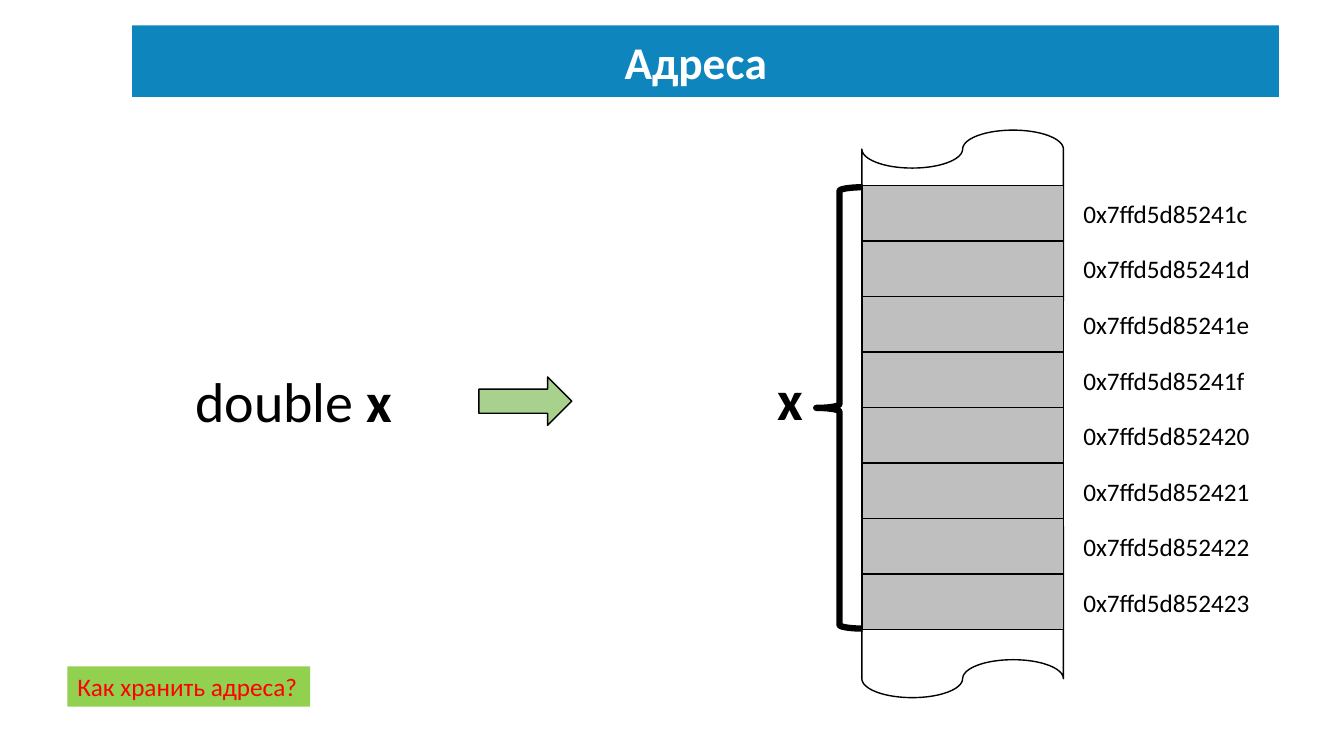
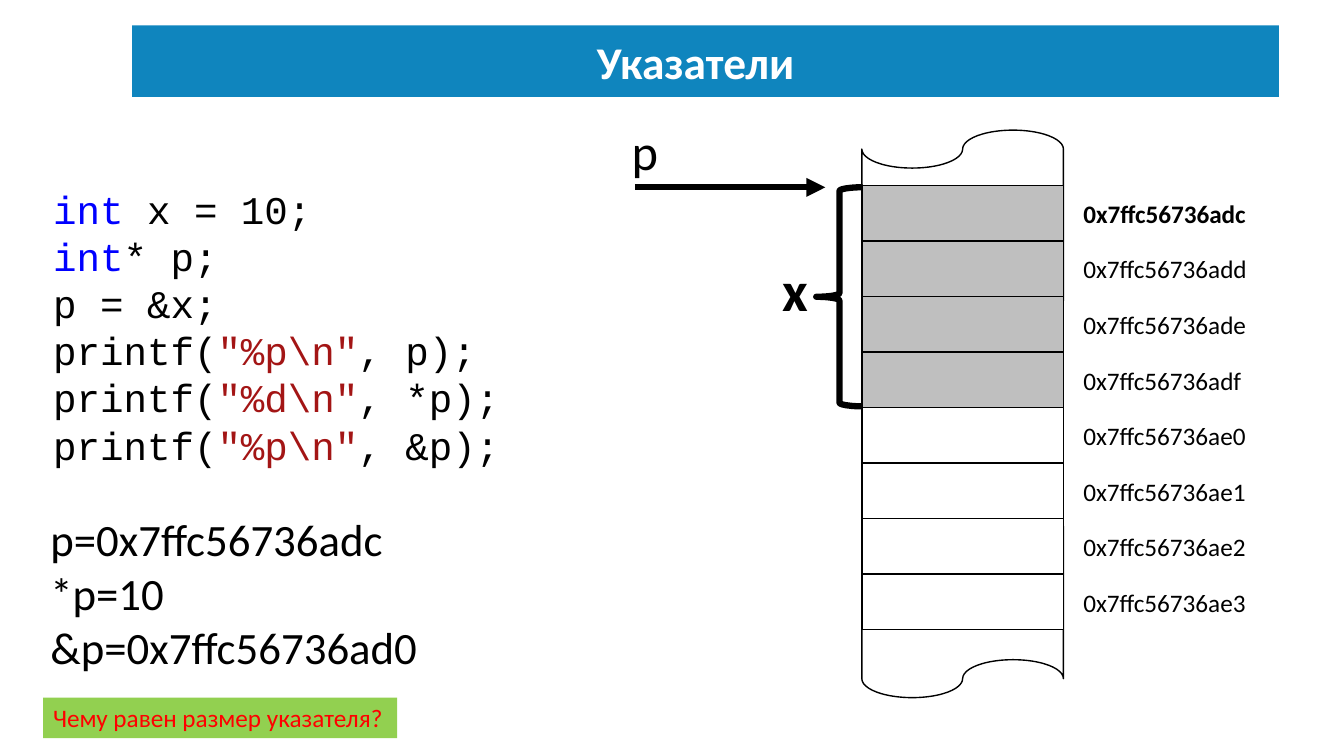
from pptx import Presentation
from pptx.dml.color import RGBColor
from pptx.enum.shapes import MSO_CONNECTOR, MSO_SHAPE
from pptx.enum.text import MSO_ANCHOR, PP_ALIGN
from pptx.oxml.ns import qn
from pptx.util import Cm, Pt
from lxml import etree

RECT, TAPE = MSO_SHAPE.RECTANGLE, MSO_SHAPE.WAVE
TAPE = MSO_SHAPE.FLOWCHART_PUNCHED_TAPE
BRACE, ARROW = MSO_SHAPE.LEFT_BRACE, MSO_SHAPE.RIGHT_ARROW
LEFT, CENTER = PP_ALIGN.LEFT, PP_ALIGN.CENTER
TOP, MIDDLE = MSO_ANCHOR.TOP, MSO_ANCHOR.MIDDLE

SANS, MONO = "Calibri", "Courier New"
BLACK, WHITE, GREY = "000000", "FFFFFF", "BFBFBF"
BAND, GREEN, LIME, RED = "0F85BE", "A9D18E", "92D050", "FF0000"
KEY, STR = "0000FF", "A31515"

# Memory strip, in cm
MEM_X, MEM_W = 21.72, 5.08
CELL_Y, CELL_H = 4.67, 1.4
TAPE_H, TAPE_YS = 4.78, (3.28, 12.8)

# Content: a line is a list of (text, colour, bold) runs
ADDRS = ["0x7ffd5d85241c", "0x7ffd5d85241d", "0x7ffd5d85241e",
         "0x7ffd5d85241f", "0x7ffd5d852420", "0x7ffd5d852421",
         "0x7ffd5d852422", "0x7ffd5d852423"]
PTRS = ["0x7ffc56736adc", "0x7ffc56736add", "0x7ffc56736ade",
        "0x7ffc56736adf", "0x7ffc56736ae0", "0x7ffc56736ae1",
        "0x7ffc56736ae2", "0x7ffc56736ae3"]
DECL = [[("double ", BLACK, False), ("x", BLACK, True)]]
CODE = [
    [("int", KEY), (" x = 10;", BLACK)],
    [("int", KEY), ("* p;", BLACK)],
    [("p = &x;", BLACK)],
    [("printf(", BLACK), ('"%p\\n"', STR), (", p);", BLACK)],
    [("printf(", BLACK), ('"%d\\n"', STR), (", *p);", BLACK)],
    [("printf(", BLACK), ('"%p\\n"', STR), (", &p);", BLACK)],
]
OUTPUT = ["p=0x7ffc56736adc", "*p=10", "&p=0x7ffc56736ad0"]


def rgb(code):
    return RGBColor.from_string(code)


def write(shape, lines, size, color=BLACK, bold=False, face=SANS,
          align=LEFT, anchor=TOP):
    frame = shape.text_frame
    frame.word_wrap = True
    frame.vertical_anchor = anchor
    for i, line in enumerate(lines):
        para = frame.paragraphs[0] if i == 0 else frame.add_paragraph()
        para.alignment = align
        font = para.font
        font.name, font.size, font.bold = face, Pt(size), bold
        font.color.rgb = rgb(color)
        if isinstance(line, str):
            para.add_run().text = line
            continue
        for text, tint, *heavy in line:
            run = para.add_run()
            run.text = text
            run.font.color.rgb = rgb(tint)
            if heavy:
                run.font.bold = heavy[0]


def label(slide, box, lines, size, **style):
    write(slide.shapes.add_textbox(*map(Cm, box)), lines, size, **style)


def draw(slide, kind, box, fill=None, line=None, width=1):
    shape = slide.shapes.add_shape(kind, *map(Cm, box))
    shape.shadow.inherit = False
    if fill:
        shape.fill.solid()
        shape.fill.fore_color.rgb = rgb(fill)
    else:
        shape.fill.background()
    if line:
        shape.line.color.rgb = rgb(line)
        shape.line.width = Pt(width)
    else:
        shape.line.fill.background()
    return shape


def start(deck, title):
    slide = deck.slides.add_slide(deck.slide_layouts[6])
    band = draw(slide, RECT, (3.33, 0.64, 28.9, 1.8), BAND)
    band.text_frame.margin_right = Cm(0.74)
    write(band, [title], 32.4, WHITE, True, align=CENTER, anchor=MIDDLE)
    return slide


def memory(slide, addrs, used, name_box, first_bold=False):
    """Draw the strip, its addresses and the brace over the used cells."""
    for y in TAPE_YS:
        draw(slide, TAPE, (MEM_X, y, MEM_W, TAPE_H), WHITE, BLACK)
    for i, addr in enumerate(addrs):
        y = CELL_Y + i * CELL_H
        fill = GREY if i < used else WHITE
        draw(slide, RECT, (MEM_X, y, MEM_W, CELL_H), fill, BLACK)
        label(slide, (27.05, y + 0.2, 5, 1.02), [addr], 18,
              bold=first_bold and i == 0)
    tall = used * CELL_H - 0.08
    brace = draw(slide, BRACE, (20.57, CELL_Y + 0.05, 1.17, tall),
                 None, BLACK, 4.5)
    brace.adjustments[0], brace.adjustments[1] = 0.08, 0.5
    label(slide, name_box, ["x"], 40, bold=True)


def ask(slide, box, text):
    write(draw(slide, RECT, box, LIME), [text], 18, RED)


def pointer(slide, x1, x2, y):
    line = slide.shapes.add_connector(
        MSO_CONNECTOR.STRAIGHT, Cm(x1), Cm(y), Cm(x2), Cm(y))
    line.line.color.rgb = rgb(BLACK)
    line.line.width = Pt(4.5)
    etree.SubElement(line.line._get_or_add_ln(), qn("a:tailEnd"),
                     type="triangle")
    etree.SubElement(line._element.spPr, qn("a:effectLst"))


def main():
    deck = Presentation()
    deck.slide_width, deck.slide_height = Cm(33.87), Cm(19.05)

    # Addresses
    slide = start(deck, "Адреса")
    memory(slide, ADDRS, 8, (19.35, 9.07, 1.2, 1.96))
    label(slide, (4.67, 9.12, 5.6, 1.96), DECL, 40)
    draw(slide, ARROW, (12.07, 9.5, 2.34, 1.22), GREEN, BLACK)
    ask(slide, (1.7, 16.79, 6.12, 1.02), "Как хранить адреса?")

    # Pointers
    slide = start(deck, "Указатели")
    label(slide, (1.09, 4.55, 12.57, 7.6), CODE, 28, face=MONO)
    memory(slide, PTRS, 4, (19.46, 6.32, 1.2, 1.96), first_bold=True)
    label(slide, (1.02, 12.78, 12.57, 4.37), OUTPUT, 32)
    pointer(slide, 16, 20.8, 4.72)
    label(slide, (15.67, 2.9, 1.2, 1.8), ["p"], 36)
    ask(slide, (1.09, 17.58, 8.92, 1.02), "Чему равен размер указателя?")

    deck.save("out.pptx")


if __name__ == "__main__":
    main()
